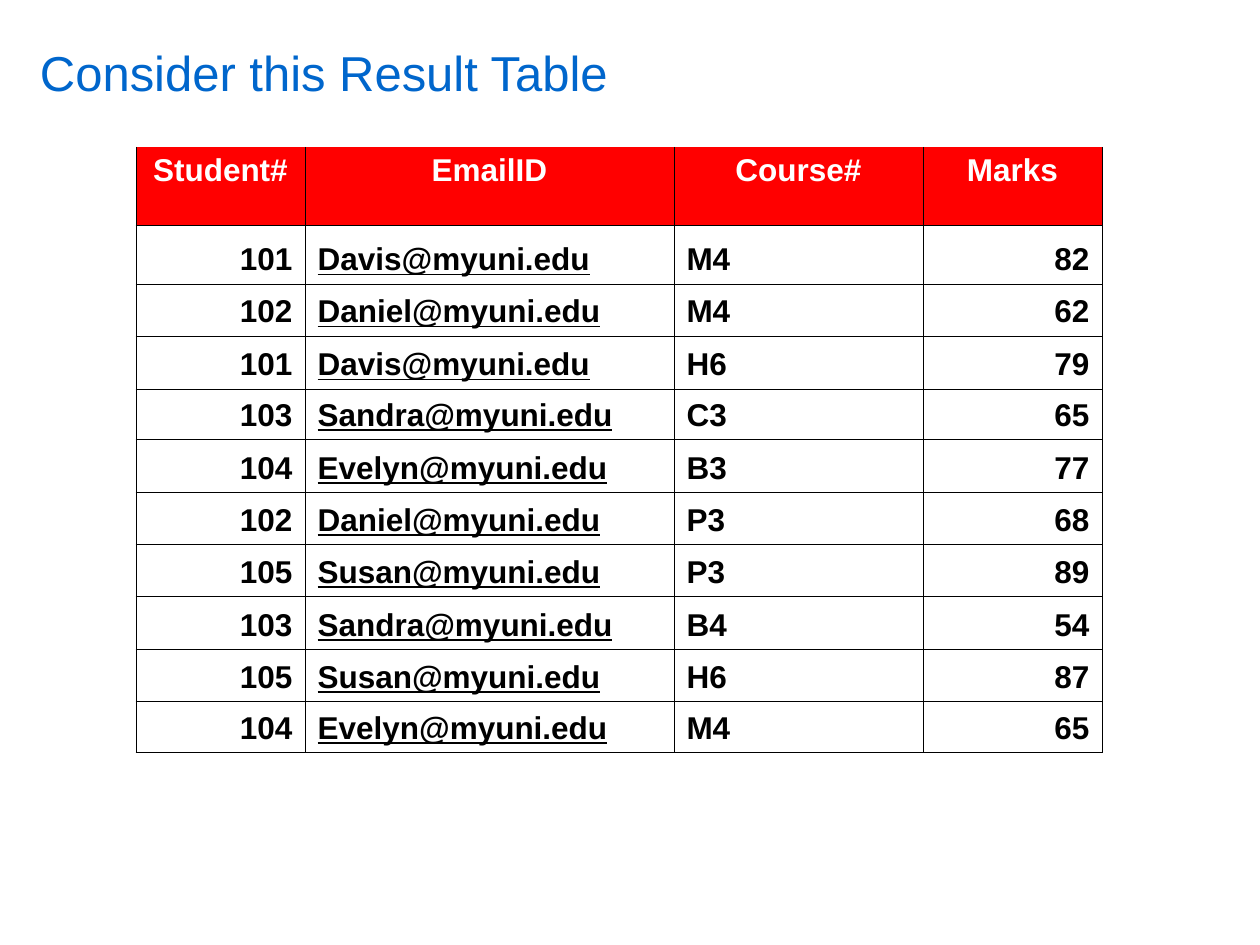
from lxml import etree
from pptx import Presentation
from pptx import util as u
from pptx.dml import color
from pptx.enum import text
from pptx.oxml import ns

COLORS = {"title": "0066CC", "header": "FF0000", "header_text": "FFFFFF", "ink": "000000"}
HEADINGS = ["Student#", "EmailID", "Course#", "Marks"]
RESULTS = [
    (101, "Davis", "M4", 82),
    (102, "Daniel", "M4", 62),
    (101, "Davis", "H6", 79),
    (103, "Sandra", "C3", 65),
    (104, "Evelyn", "B3", 77),
    (102, "Daniel", "P3", 68),
    (105, "Susan", "P3", 89),
    (103, "Sandra", "B4", 54),
    (105, "Susan", "H6", 87),
    (104, "Evelyn", "M4", 65),
]
COLUMN_WIDTHS = [169, 369, 249, 179]
ROW_HEIGHTS = [78, 59, 52, 53, 50, 53, 52, 52, 53, 52, 51]


def px(length):
    return u.Emu(round(length * 914400 / 126))


class ResultSlide:
    """Builds the slide and keeps its text and border style."""

    font = "Arial"
    border = u.Pt(0.45)

    def __init__(self, deck):
        self.slide = deck.slides.add_slide(deck.slide_layouts[6])

    def add_words(self, paragraph, words, size, ink, bold=False, underline=False):
        run = paragraph.add_run()
        run.text = words
        run.font.name = self.font
        run.font.size = u.Pt(size)
        run.font.bold = bold
        run.font.underline = underline
        run.font.color.rgb = color.RGBColor.from_string(COLORS[ink])

    def title(self, words, left, top, width, height):
        heading = self.slide.shapes.add_textbox(px(left), px(top), px(width), px(height))
        frame = heading.text_frame
        frame.word_wrap = True
        frame.auto_size = text.MSO_AUTO_SIZE.SHAPE_TO_FIT_TEXT
        frame.margin_left, frame.margin_top, frame.margin_bottom = px(40), px(11), px(5)
        self.add_words(frame.paragraphs[0], words, 28, "title")

    def edges(self, cell, hidden=()):
        properties = cell._tc.get_or_add_tcPr()
        for order, side in enumerate(("lnL", "lnR", "lnT", "lnB")):
            edge = etree.Element(ns.qn(f"a:{side}"), w=str(self.border))
            if side in hidden:
                etree.SubElement(edge, ns.qn("a:noFill"))
            else:
                fill = etree.SubElement(edge, ns.qn("a:solidFill"))
                etree.SubElement(fill, ns.qn("a:srgbClr"), val=COLORS["ink"])
            properties.insert(order, edge)

    def header_cell(self, cell, words):
        cell.fill.solid()
        cell.fill.fore_color.rgb = color.RGBColor.from_string(COLORS["header"])
        paragraph = cell.text_frame.paragraphs[0]
        paragraph.alignment = text.PP_ALIGN.CENTER
        self.add_words(paragraph, words, 18, "header_text", bold=True)
        self.edges(cell, hidden=("lnT",))

    def body_cell(self, cell, value):
        cell.fill.background()
        cell.vertical_anchor = text.MSO_ANCHOR.BOTTOM
        paragraph = cell.text_frame.paragraphs[0]
        number = isinstance(value, int)
        paragraph.alignment = text.PP_ALIGN.RIGHT if number else text.PP_ALIGN.LEFT
        words = str(value)
        self.add_words(paragraph, words, 18, "ink", bold=True, underline="@" in words)
        self.edges(cell)

    def table(self, left, top):
        results = self.slide.shapes.add_table(
            len(ROW_HEIGHTS), len(COLUMN_WIDTHS), px(left), px(top),
            px(sum(COLUMN_WIDTHS)), px(sum(ROW_HEIGHTS))).table
        results.first_row = results.horz_banding = False
        for column, width in zip(results.columns, COLUMN_WIDTHS):
            column.width = px(width)
        for row, height in zip(results.rows, ROW_HEIGHTS):
            row.height = px(height)
        for cell, heading in zip(results.rows[0].cells, HEADINGS):
            self.header_cell(cell, heading)
        for index, (student, name, course, marks) in enumerate(RESULTS, 1):
            record = (student, f"{name}@myuni.edu", course, marks)
            for cell, value in zip(results.rows[index].cells, record):
                self.body_cell(cell, value)


def main():
    deck = Presentation()
    deck.slide_width, deck.slide_height = px(1260), px(945)
    page = ResultSlide(deck)
    page.title("Consider this Result Table", 0, 31, 966, 72)
    page.table(136, 147)
    deck.save("out.pptx")


if __name__ == "__main__":
    main()
